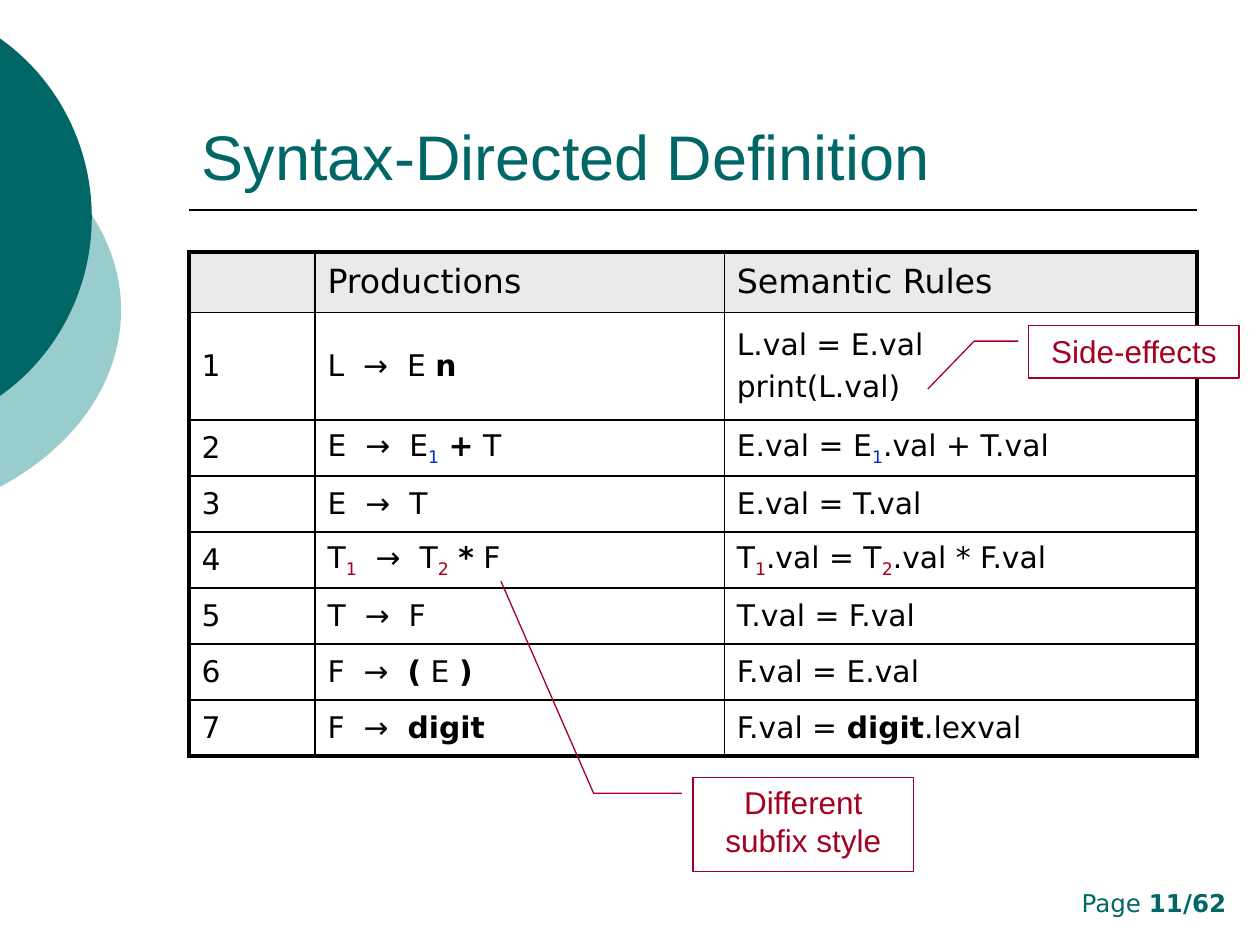
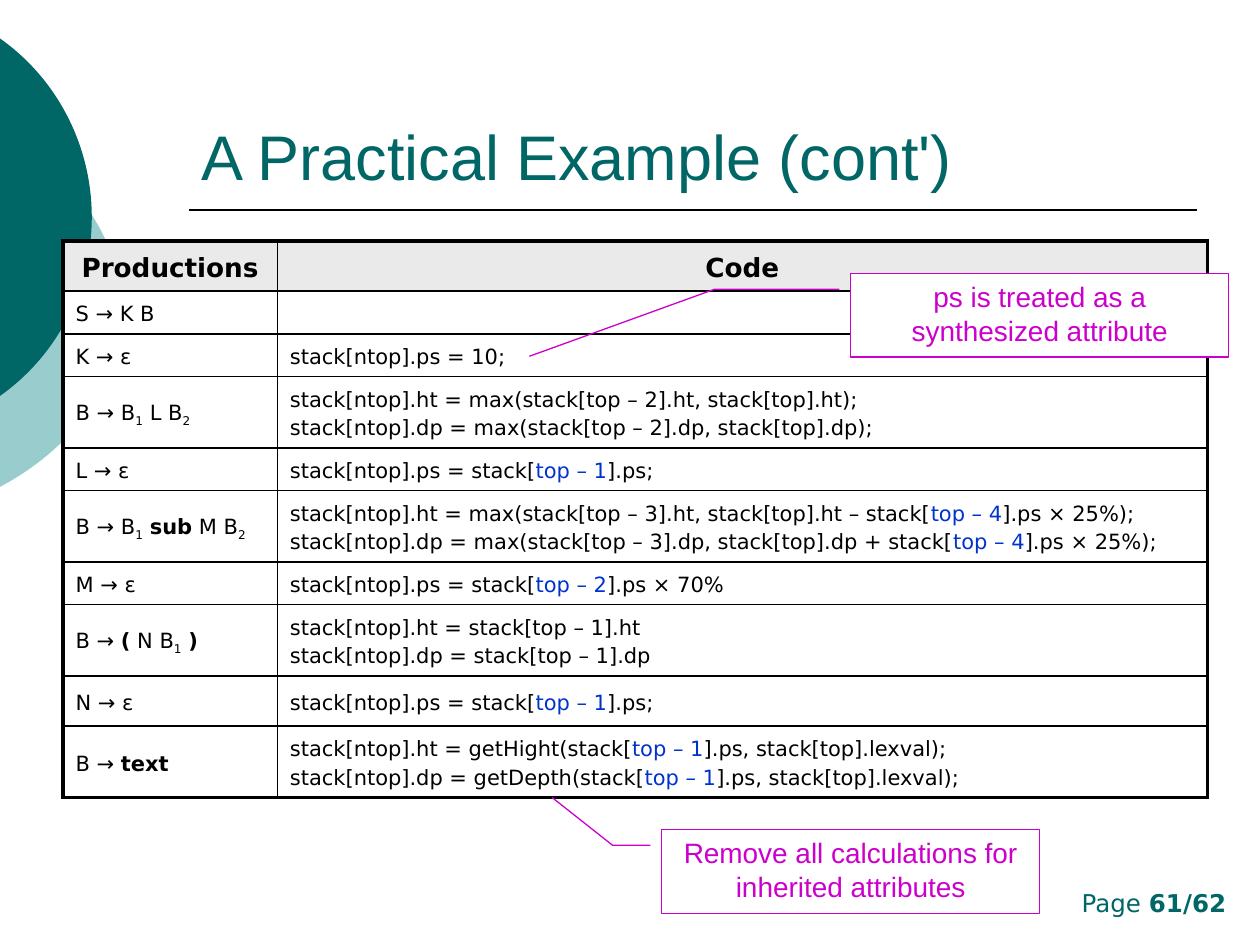
"""Build two slides on syntax-directed definitions, with tables and callouts."""
import math

from lxml import etree
from pptx import Presentation, util as u
from pptx.dml.color import RGBColor
from pptx.enum import shapes, text
from pptx.oxml.ns import qn

TEAL = RGBColor(0x00, 0x66, 0x66)
MINT = RGBColor(0x99, 0xCC, 0xCC)
BLACK = RGBColor(0x00, 0x00, 0x00)
WHITE = RGBColor(0xFF, 0xFF, 0xFF)
GRAY = RGBColor(0xEA, 0xEA, 0xEA)
BLUE = RGBColor(0x00, 0x33, 0xCC)
RED = RGBColor(0xA5, 0x00, 0x21)
PINK = RGBColor(0xCC, 0x00, 0xCC)
SANS, ARIAL = "DejaVu Sans", "Arial"
SUB = {"baseline": "-25000"}
GAP = "|w |→|w |"

MARKS = {
    "b": (BLACK, True, {}),
    "c": (BLUE, False, {}),
    "s": (BLACK, False, SUB),
    "u": (BLUE, False, SUB),
    "r": (RED, False, SUB),
    "w": (BLACK, False, {"spc": "540"}),
}

RULES = [
    ["", "Productions", "Semantic Rules"],
    ["1", "L → E |bn|", "L.val = E.val\nprint(L.val)"],
    ["2", "E → E|u1| |b+| T", "E.val = E|u1|.val + T.val"],
    ["3", "E → T", "E.val = T.val"],
    ["4", "T|r1| → T|r2| |b*| F", "T|r1|.val = T|r2|.val * F.val"],
    ["5", "T → F", "T.val = F.val"],
    ["6", "F → |b(| E |b)|", "F.val = E.val"],
    ["7", "F → |bdigit|", "F.val = |bdigit|.lexval"],
]

CODE = [
    ["|bProductions|", "|bCode|"],
    ["S → K B", ""],
    ["K → ε", "stack[ntop].ps = 10;"],
    ["B → B|s1| L B|s2|",
     "stack[ntop].ht = max(stack[top – 2].ht, stack[top].ht);\n"
     "stack[ntop].dp = max(stack[top – 2].dp, stack[top].dp);"],
    ["L → ε", "stack[ntop].ps = stack[|ctop – 1|].ps;"],
    ["B → B|s1| |bsub| M B|s2|",
     "stack[ntop].ht = max(stack[top – 3].ht, stack[top].ht – stack[|ctop – 4|].ps × 25%);\n"
     "stack[ntop].dp = max(stack[top – 3].dp, stack[top].dp + stack[|ctop – 4|].ps × 25%);"],
    ["M → ε", "stack[ntop].ps = stack[|ctop – 2|].ps × 70%"],
    ["B → |b(| N B|s1| |b)|",
     "stack[ntop].ht = stack[top – 1].ht\nstack[ntop].dp = stack[top – 1].dp"],
    ["N → ε", "stack[ntop].ps = stack[|ctop – 1|].ps;"],
    ["B → |btext|",
     "stack[ntop].ht = getHight(stack[|ctop – 1|].ps, stack[top].lexval);\n"
     "stack[ntop].dp = getDepth(stack[|ctop – 1|].ps, stack[top].lexval);"],
]


def box(*sides):
    return [u.Cm(side) for side in sides]


def style(run, size, color, name=SANS, bold=False):
    font = run.font
    font.size, font.name, font.bold = u.Pt(size), name, bold
    font.color.rgb = color


class Deck:
    def __init__(self):
        self.prs = Presentation()
        self.prs.slide_width, self.prs.slide_height = box(25.4, 19.05)

    def start(self, title, page):
        self.slide = self.prs.slides.add_slide(self.prs.slide_layouts[5])
        self.shapes = self.slide.shapes
        self.disc(-8.99, 1.91, 11.43, 8.69, MINT)
        self.disc(-6.73, 0, 8.58, 8.76, TEAL)
        self.rule(3.81, 4.23, 24.13)
        self.foot(page)
        self.head(title)

    def disc(self, left, top, width, height, color):
        rx, ry = width / 2, height / 2
        end = math.acos(-(left + rx) / rx)
        pull = math.tan(end / 4) * 4 / 3

        def spot(turn, tug=0):
            return (rx * (1 + math.cos(turn) - tug * math.sin(turn)),
                    ry * (1 + math.sin(turn) + tug * math.cos(turn)))

        maker = self.shapes.build_freeform(*box(left, top), scale=1.0)
        maker.add_line_segments([box(left + width, top), box(left + width, top + height),
                                 box(left, top + height)], close=True)
        part = maker.convert_to_shape()
        route = next(part._element.iter(qn("a:path")))
        for step in list(route):
            route.remove(step)
        self.step(route, "moveTo", spot(-end))
        for turn in (-end, 0):
            self.step(route, "cubicBezTo", spot(turn, pull),
                      spot(turn + end, -pull), spot(turn + end))
        self.step(route, "close")
        part.shadow.inherit = False
        part.fill.solid()
        part.fill.fore_color.rgb = color
        part.line.fill.background()

    def step(self, route, kind, *dots):
        move = etree.SubElement(route, qn(f"a:{kind}"))
        for dot in dots:
            x, y = box(*dot)
            etree.SubElement(move, qn("a:pt"), x=str(int(x)), y=str(int(y)))

    def rule(self, left, top, right):
        line = self.shapes.add_connector(
            shapes.MSO_CONNECTOR.STRAIGHT, *box(left, top, right, top))
        line.line.color.rgb = BLACK
        line.line.width = u.Pt(1)
        etree.SubElement(line._element.spPr, qn("a:effectLst"))

    def foot(self, page):
        frame = self.shapes.add_textbox(*box(19.26, 17.78, 5.71, 0.85)).text_frame
        frame.word_wrap = True
        para = frame.paragraphs[0]
        para.alignment = text.PP_ALIGN.RIGHT
        for words, bold in (("Page ", False), (page, True)):
            run = para.add_run()
            run.text = words
            style(run, 14, TEAL, bold=bold)

    def head(self, title):
        holder = self.shapes.title
        holder.left, holder.top, holder.width, holder.height = box(3.81, 0.84, 20.32, 3.18)
        frame = holder.text_frame
        frame.text = title
        frame.auto_size = text.MSO_AUTO_SIZE.NONE
        frame.vertical_anchor = text.MSO_ANCHOR.BOTTOM
        para = frame.paragraphs[0]
        para.alignment = text.PP_ALIGN.LEFT
        style(para.runs[0], 36, TEAL, ARIAL)

    def table(self, left, top, cols, rows, data, sizes, space=0, pitch=1.0,
              align=text.PP_ALIGN.LEFT):
        grid = self.shapes.add_table(
            len(rows), len(cols), *box(left, top, sum(cols), sum(rows))).table
        grid.first_row = grid.horz_banding = False
        for col, width in zip(grid.columns, cols):
            col.width = u.Cm(width)
        for row, height in zip(grid.rows, rows):
            row.height = u.Cm(height)
        for i, line in enumerate(data):
            for j, words in enumerate(line):
                cell = grid.cell(i, j)
                edges = {"L": j == 0, "R": j == len(cols) - 1,
                         "T": i == 0, "B": i == len(rows) - 1}
                self.frame(cell, edges)
                cell.fill.solid()
                cell.fill.fore_color.rgb = WHITE if i else GRAY
                cell.vertical_anchor = text.MSO_ANCHOR.MIDDLE
                self.fill(cell.text_frame, words, sizes[min(i, 1)], space, pitch,
                          text.PP_ALIGN.LEFT if i else align)

    def frame(self, cell, edges):
        props = cell._tc.get_or_add_tcPr()
        for side, outer in edges.items():
            width = u.Pt(2.25 if outer else 1)
            line = etree.SubElement(props, qn(f"a:ln{side}"), w=str(width))
            solid = etree.SubElement(line, qn("a:solidFill"))
            etree.SubElement(solid, qn("a:srgbClr"), val=str(BLACK))

    def fill(self, frame, words, size, space, pitch, align):
        for n, line in enumerate(words.split("\n")):
            para = frame.add_paragraph() if n else frame.paragraphs[0]
            para.alignment, para.line_spacing = align, pitch
            para.space_before = u.Pt(space if n else 0)
            for k, piece in enumerate(line.split("|")):
                if piece:
                    self.run(para, piece, size, k % 2)
            if not line:
                etree.SubElement(para._p, qn("a:endParaRPr"), sz=str(size * 100))

    def run(self, para, piece, size, marked):
        color, bold, extra = MARKS[piece[0]] if marked else (BLACK, False, {})
        run = para.add_run()
        run.text = piece[1:] if marked else piece
        style(run, size, color, bold=bold)
        for key, value in extra.items():
            run.font._element.set(key, value)

    def note(self, words, place, bends, color, size):
        shape = self.shapes.add_shape(shapes.MSO_SHAPE.LINE_CALLOUT_2, *box(*place))
        for n, bend in enumerate(bends):
            shape.adjustments[n] = bend
        shape.shadow.inherit = False
        shape.fill.solid()
        shape.fill.fore_color.rgb = WHITE
        shape.line.color.rgb = color
        shape.line.width = u.Pt(0.75)
        frame = shape.text_frame
        frame.text = words
        frame.word_wrap = True
        frame.vertical_anchor = text.MSO_ANCHOR.TOP
        para = frame.paragraphs[0]
        para.alignment = text.PP_ALIGN.CENTER
        style(para.runs[0], size, color, ARIAL)


def main():
    deck = Deck()

    deck.start("Syntax-Directed Definition", "11/62")
    wide = [[words.replace(" → ", GAP) for words in row] for row in RULES]
    deck.table(3.81, 5.08, [2.54, 8.25, 9.53], [1.22, 2.17] + [1.13] * 6, wide,
               (19, 17), space=4.25)
    deck.note("Different subfix style", (13.97, 15.67, 4.45, 1.9),
              (0.17, -0.05, 0.17, -0.45, -2.08, -0.87), RED, 18)
    deck.note("Side-effects", (20.74, 6.56, 4.24, 1.06),
              (0.3, -0.05, 0.3, -0.26, 1.21, -0.48), RED, 18)

    deck.start("A Practical Example (cont')", "61/62")
    one, two, tall = 0.86, 1.44, 1.01
    deck.table(1.27, 4.86, [4.32, 18.75],
               [tall, one, one, two, one, two, one, two, tall, two], CODE,
               (15, 12), pitch=1.15, align=text.PP_ALIGN.CENTER)
    deck.note("Remove all calculations for inherited attributes",
              (13.34, 16.72, 7.62, 1.69),
              (0.19, -0.03, 0.19, -0.13, -0.38, -0.29), PINK, 16)
    deck.note("ps is treated as a synthesized attribute", (17.15, 5.51, 7.62, 1.69),
              (0.19, -0.03, 0.19, -0.36, 0.99, -0.85), PINK, 16)

    deck.prs.save("out.pptx")


if __name__ == "__main__":
    main()
